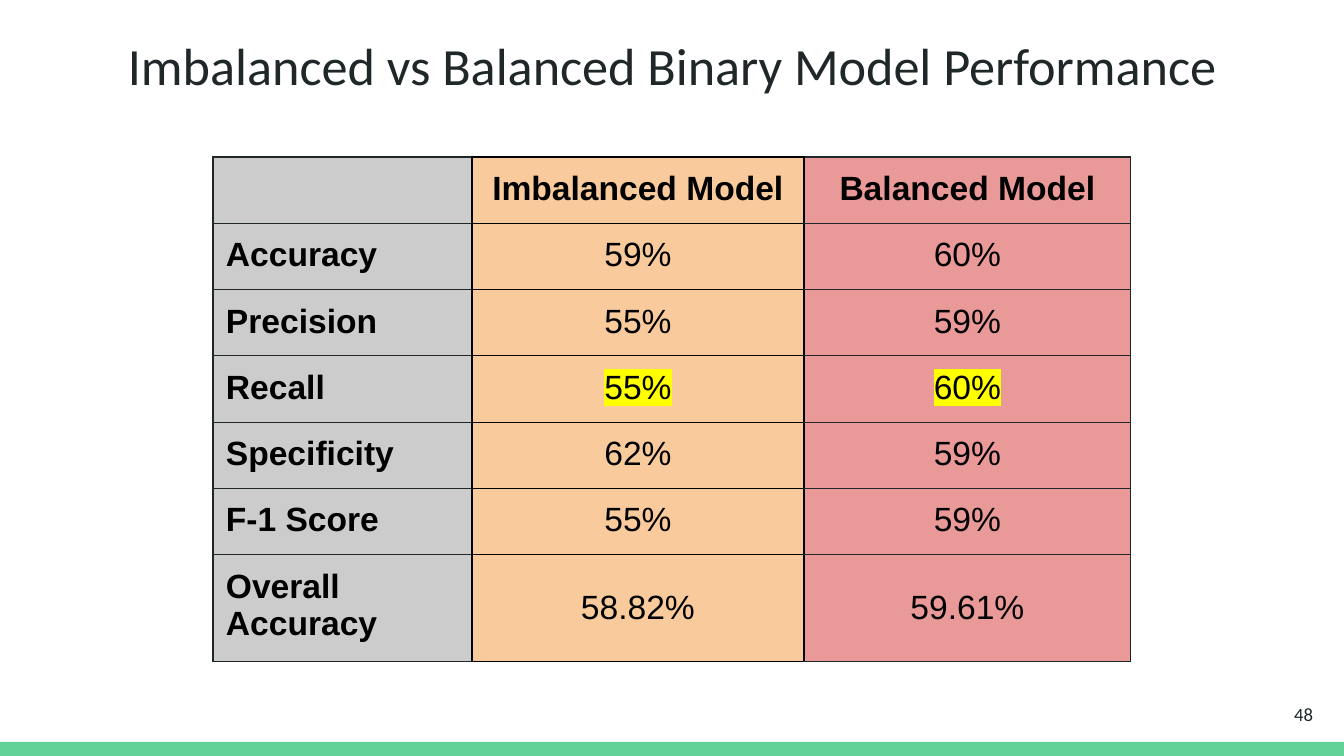
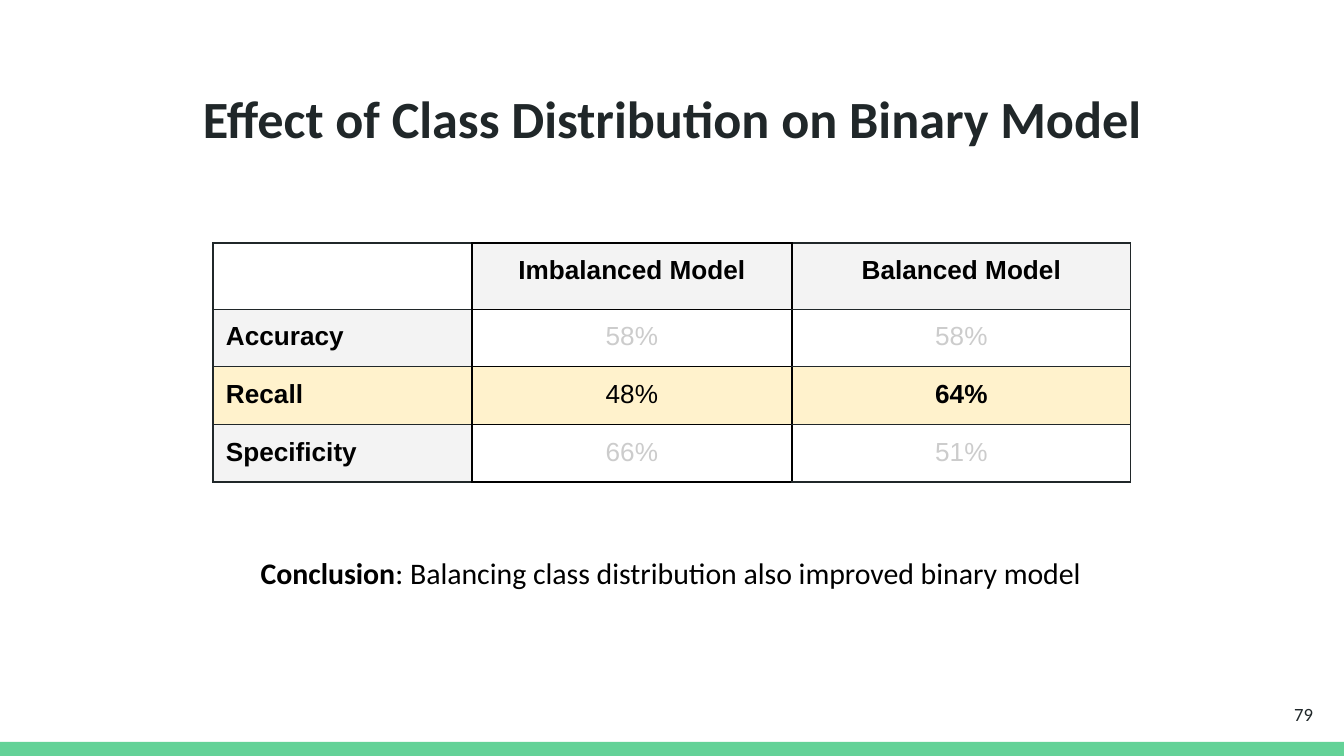
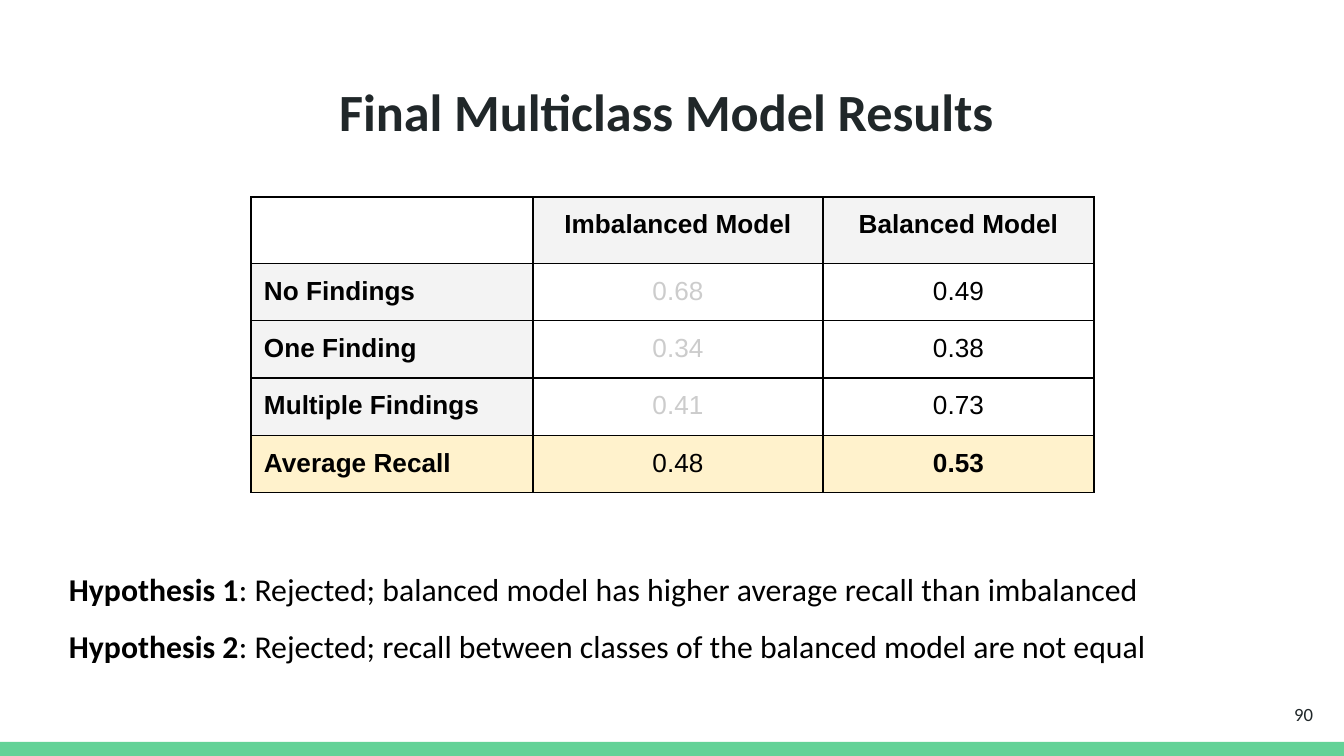
from lxml.etree import SubElement
from pptx import Presentation
from pptx.dml.color import RGBColor
from pptx.enum.shapes import MSO_SHAPE
from pptx.enum.text import MSO_ANCHOR, MSO_AUTO_SIZE, PP_ALIGN
from pptx.oxml.ns import qn
from pptx.util import Emu, Pt

WIDTH, HEIGHT = 1344, 756
EMU_PER_PX = 914400 / 134.4
INSET = 13
BAND_HEIGHT = 14
TITLE_LEFT, TITLE_HEIGHT = 46, 84
NUMBER_BOX = (1246, 685, 80, 58)
HEADING_FONT, TABLE_FONT = "Calibri", "Arial"
INK, BLACK, GREEN = "202729", "000000", "63D297"
GREY, PALE, CREAM, MUTED = "CCCCCC", "F3F3F3", "FFF2CC", "CCCCCC"
ORANGE, RED, YELLOW = "F9CB9C", "EA9999", "FFFF00"

HEADER = ("", "Imbalanced Model", "Balanced Model")

SLIDES = [
    {
        "title": "Imbalanced vs Balanced Binary Model Performance",
        "title_top": 20, "title_bold": False, "number": "48",
        "table": {
            "at": (213, 157), "columns": (259, 332, 327), "row_heights": (57,) * 7,
            "size": 18, "edge": INK, "column_fills": (GREY, ORANGE, RED),
            "key_row": "Recall", "muted_columns": (), "centred_row": "Overall Accuracy",
            "rows": [
                HEADER,
                ("Accuracy", "59%", "60%"),
                ("Precision", "55%", "59%"),
                ("Recall", "55%", "60%"),
                ("Specificity", "62%", "59%"),
                ("F-1 Score", "55%", "59%"),
                ("Overall Accuracy", "58.82%", "59.61%"),
            ],
        },
    },
    {
        "title": "Effect of Class Distribution on Binary Model",
        "title_top": 73, "title_bold": True, "number": "79",
        "table": {
            "at": (213, 243), "columns": (259, 320, 339), "row_heights": (58, 56, 58, 56),
            "size": 14, "edge": INK, "column_fills": None,
            "key_row": "Recall", "muted_columns": (1, 2), "centred_row": None,
            "rows": [
                HEADER,
                ("Accuracy", "58%", "58%"),
                ("Recall", "48%", "64%"),
                ("Specificity", "66%", "51%"),
            ],
        },
        "notes": {
            "box": (114, 542, 1114, 63), "size": 16, "align": PP_ALIGN.CENTER, "spacing": 1.0,
            "lines": [("Conclusion", ": Balancing class distribution also improved binary model")],
        },
    },
    {
        "title": "Final Multiclass Model Results ",
        "title_top": 66, "title_bold": True, "number": "90",
        "table": {
            "at": (251, 197), "columns": (282, 290, 271), "row_heights": (56,) * 5,
            "size": 14, "edge": BLACK, "column_fills": None,
            "key_row": "Average Recall", "muted_columns": (1,), "centred_row": None,
            "rows": [
                HEADER,
                ("No Findings", "0.68", "0.49"),
                ("One Finding", "0.34", "0.38"),
                ("Multiple Findings", "0.41", "0.73"),
                ("Average Recall", "0.48", "0.53"),
            ],
        },
        "notes": {
            "box": (56, 538, 1246, 123), "size": 17, "align": PP_ALIGN.LEFT, "spacing": 1.5,
            "lines": [
                ("Hypothesis 1", ": Rejected; balanced model has higher average recall than imbalanced"),
                ("Hypothesis 2", ": Rejected; recall between classes of the balanced model are not equal"),
            ],
        },
    },
]


def px(length):
    return Emu(round(length * EMU_PER_PX))


def color(value):
    return RGBColor.from_string(value)


def format_run(run, font_name, size, ink, bold=False):
    run.font.name = font_name
    run.font.size = Pt(size)
    run.font.bold = bold
    run.font.color.rgb = color(ink)


def set_insets(target):
    target.margin_left = target.margin_right = px(INSET)
    target.margin_top = target.margin_bottom = px(INSET)


def add_text_box(slide, box):
    frame = slide.shapes.add_textbox(*map(px, box)).text_frame
    frame.word_wrap = True
    set_insets(frame)
    return frame


def add_line(slide, box, text, size, align, bold=False):
    frame = add_text_box(slide, box)
    frame.text = text
    paragraph = frame.paragraphs[0]
    paragraph.alignment = align
    format_run(paragraph.runs[0], HEADING_FONT, size, INK, bold)
    return frame


def add_frame(slide, content):
    band = slide.shapes.add_shape(
        MSO_SHAPE.RECTANGLE, 0, px(HEIGHT - BAND_HEIGHT), px(WIDTH), px(BAND_HEIGHT))
    band.shadow.inherit = False
    band.fill.solid()
    band.fill.fore_color.rgb = color(GREEN)
    band.line.fill.background()
    title_box = (TITLE_LEFT, content["title_top"], WIDTH - 2 * TITLE_LEFT, TITLE_HEIGHT)
    add_line(slide, title_box, content["title"], 28, PP_ALIGN.CENTER, content["title_bold"])
    number = add_line(slide, NUMBER_BOX, content["number"], 10, PP_ALIGN.RIGHT)
    number.vertical_anchor = MSO_ANCHOR.MIDDLE


def set_borders(cell, column, edge):
    side_color = BLACK if column == 1 else edge
    borders = {
        "a:lnL": edge if column == 0 else BLACK,
        "a:lnR": edge if column == 2 else BLACK,
        "a:lnT": side_color,
        "a:lnB": side_color,
    }
    properties = cell._tc.get_or_add_tcPr()
    for tag, value in borders.items():
        line = SubElement(properties, qn(tag), w=str(Pt(0.75)))
        SubElement(SubElement(line, qn("a:solidFill")), qn("a:srgbClr"), val=value)


def highlight(run):
    properties = run._r.get_or_add_rPr()
    mark = SubElement(properties, qn("a:highlight"))
    SubElement(mark, qn("a:srgbClr"), val=YELLOW)
    properties.find(qn("a:solidFill")).addnext(mark)


def cell_fill(spec, row, column, is_key):
    if spec["column_fills"]:
        return spec["column_fills"][column]
    if is_key:
        return CREAM
    return PALE if (row == 0) != (column == 0) else None


def fill_cell(cell, spec, row, column):
    text = spec["rows"][row][column]
    label = spec["rows"][row][0]
    is_key = label == spec["key_row"]
    is_value = row > 0 and column > 0
    set_insets(cell)
    set_borders(cell, column, spec["edge"])
    fill = cell_fill(spec, row, column, is_key)
    if fill:
        cell.fill.solid()
        cell.fill.fore_color.rgb = color(fill)
    else:
        cell.fill.background()
    if not text:
        return
    cell.text = text
    paragraph = cell.text_frame.paragraphs[0]
    paragraph.alignment = PP_ALIGN.CENTER if column else PP_ALIGN.LEFT
    if is_value and label == spec["centred_row"]:
        cell.vertical_anchor = MSO_ANCHOR.MIDDLE
    winner = is_key and column == 2 and not spec["column_fills"]
    muted = is_value and not is_key and column in spec["muted_columns"]
    run = paragraph.runs[0]
    format_run(run, TABLE_FONT, spec["size"], MUTED if muted else BLACK, not is_value or winner)
    if is_value and is_key and spec["column_fills"]:
        highlight(run)


def add_results_table(slide, spec):
    columns, heights = spec["columns"], spec["row_heights"]
    box = (*spec["at"], sum(columns), sum(heights))
    table = slide.shapes.add_table(len(heights), len(columns), *map(px, box)).table
    table.first_row = table.horz_banding = False
    for column, width in enumerate(columns):
        table.columns[column].width = px(width)
    for row, height in enumerate(heights):
        table.rows[row].height = px(height)
        for column in range(len(columns)):
            fill_cell(table.cell(row, column), spec, row, column)


def add_notes(slide, spec):
    frame = add_text_box(slide, spec["box"])
    frame.auto_size = MSO_AUTO_SIZE.SHAPE_TO_FIT_TEXT
    for index, (lead, rest) in enumerate(spec["lines"]):
        paragraph = frame.add_paragraph() if index else frame.paragraphs[0]
        paragraph.alignment = spec["align"]
        paragraph.line_spacing = spec["spacing"]
        for text, bold in ((lead, True), (rest, False)):
            run = paragraph.add_run()
            run.text = text
            format_run(run, HEADING_FONT, spec["size"], BLACK, bold)


def main():
    presentation = Presentation()
    presentation.slide_width = px(WIDTH)
    presentation.slide_height = px(HEIGHT)
    for content in SLIDES:
        slide = presentation.slides.add_slide(presentation.slide_layouts[6])
        add_frame(slide, content)
        add_results_table(slide, content["table"])
        if "notes" in content:
            add_notes(slide, content["notes"])
    presentation.save("out.pptx")


if __name__ == "__main__":
    main()
